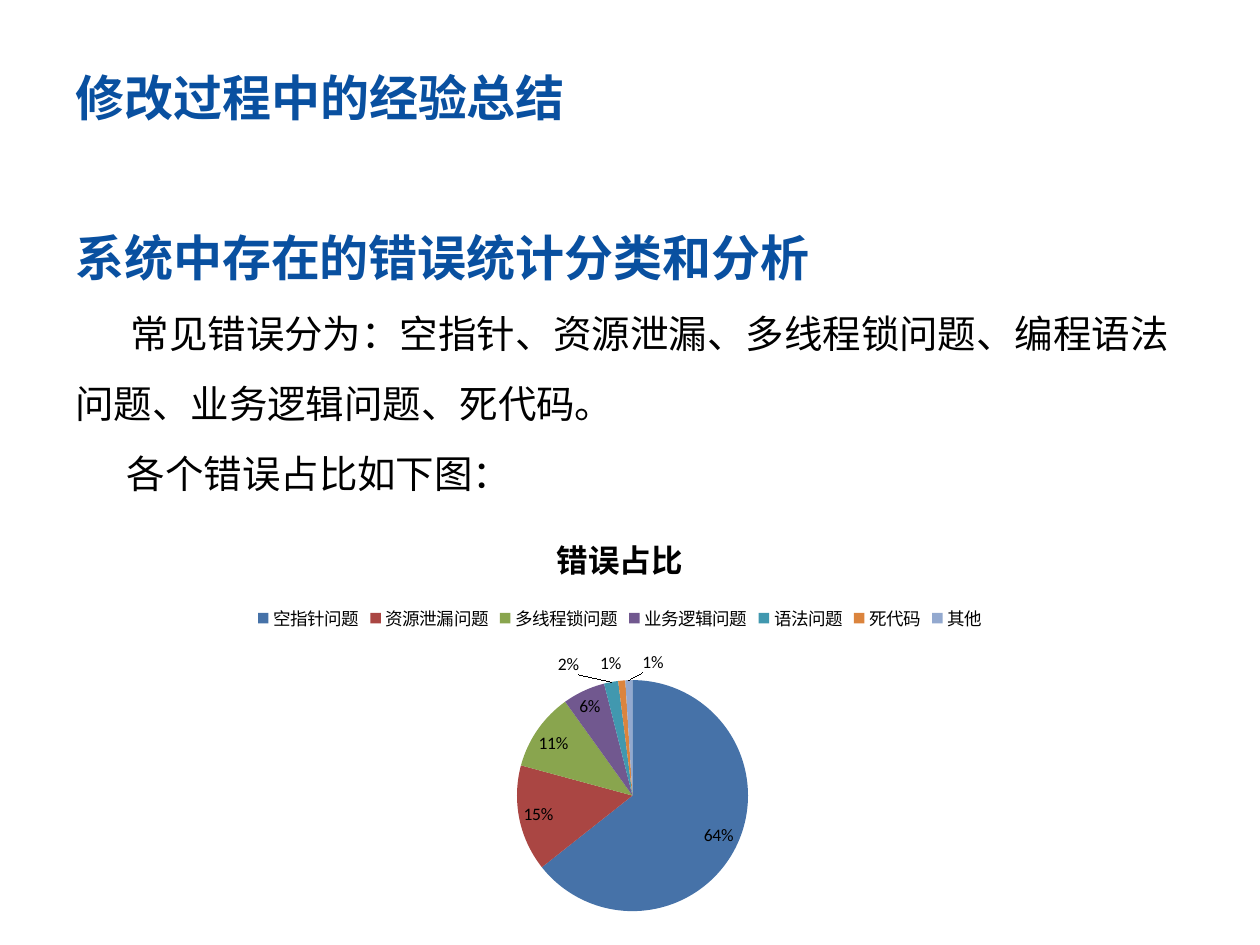
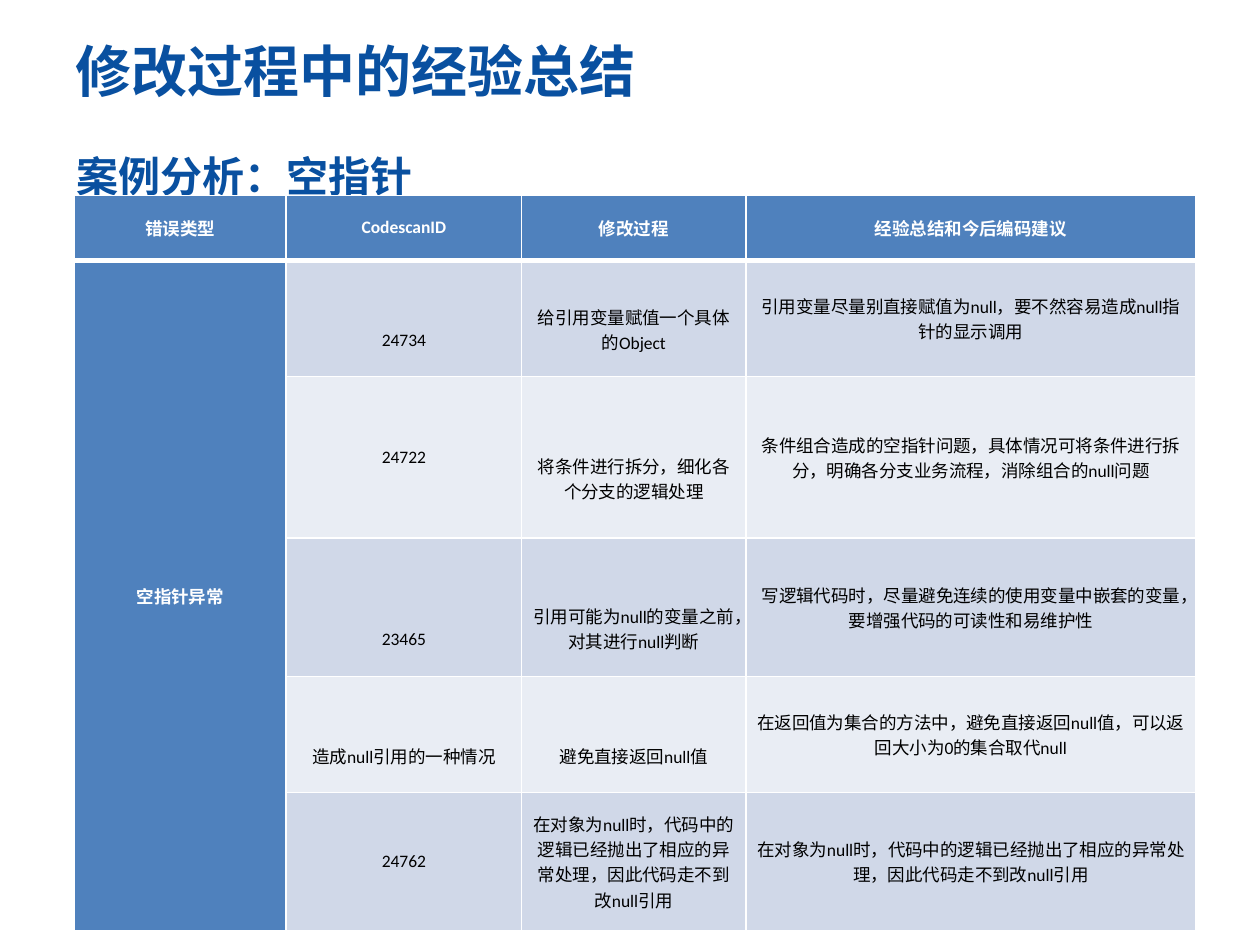
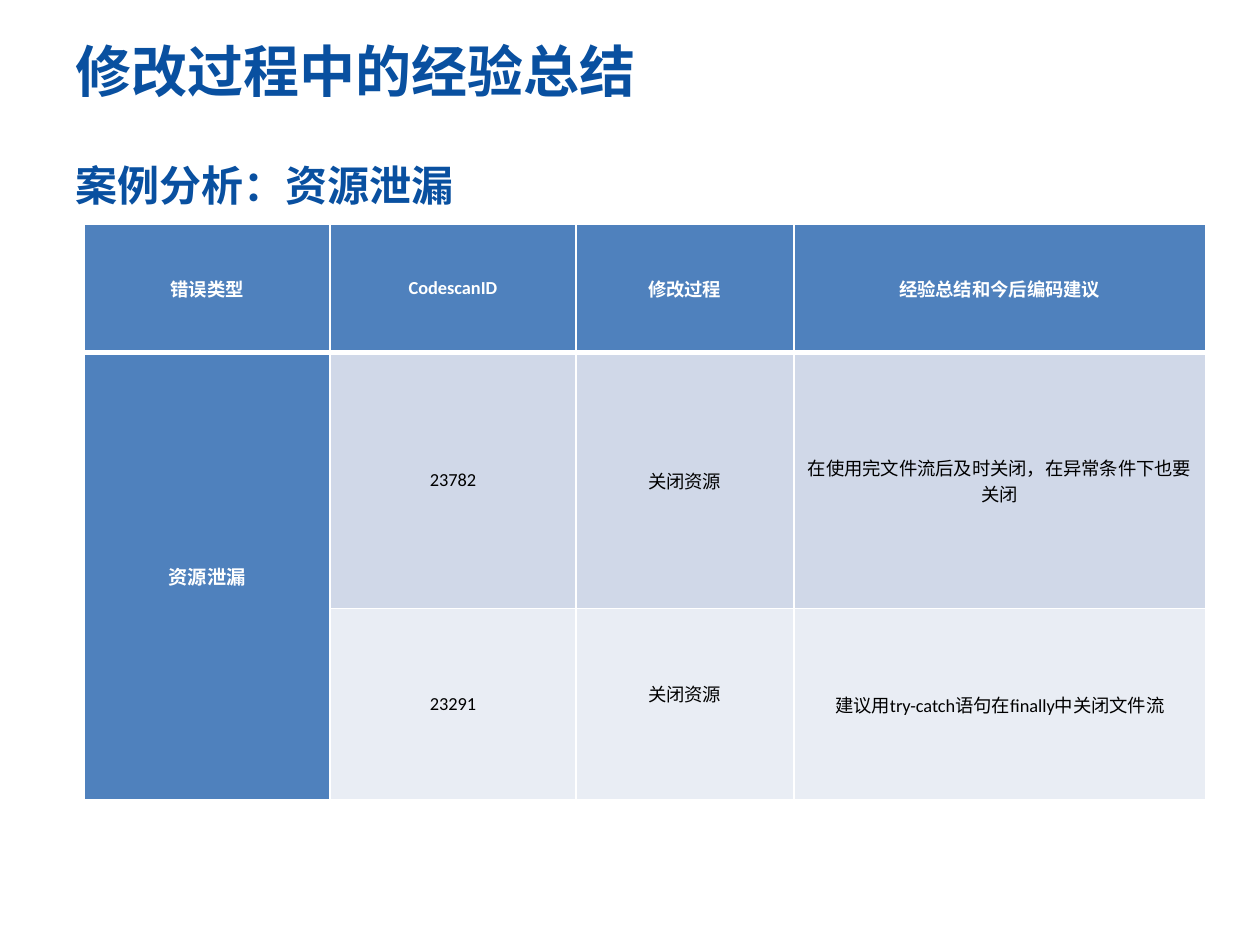
import pptx
import pptx.chart.data
import pptx.dml.color
import pptx.enum.chart
import pptx.enum.text
import pptx.oxml
import pptx.oxml.ns
import pptx.util

Inches = pptx.util.Inches
Pt = pptx.util.Pt
RGB = pptx.dml.color.RGBColor
PP = pptx.enum.text.PP_ALIGN
Anchor = pptx.enum.text.MSO_ANCHOR

# Shared look
NAVY = RGB(0x09, 0x50, 0xA0)
BLUE = RGB(0x4F, 0x81, 0xBD)
BAND = RGB(0xD0, 0xD8, 0xE8)
PALE = RGB(0xE9, 0xED, 0xF4)
WHITE = RGB(0xFF, 0xFF, 0xFF)
BLACK = RGB(0, 0, 0)
SLICES = [RGB.from_string(c) for c in
          "4672A8 AA4643 89A54E 71588F 4198AF DB843D 93A9CF".split()]
HEAD = "Noto Sans CJK SC"
BODY = "Calibri"
TITLE = "修改过程中的经验总结"
COLS = ["错误类型", "CodescanID", "修改过程", "经验总结和今后编码建议"]
LINE = 0.17  # height of one line of table text

# Table rows; a pair gives the text and the lines it is moved down (or up)
NULLS = [
    [("24734", 2), ("给引用变量赋值一个具体的Object", 1),
     "引用变量尽量别直接赋值为null，要不然容易造成null指针的显示调用"],
    ["24722", ("将条件进行拆分，细化各个分支的逻辑处理", 2),
     "条件组合造成的空指针问题，具体情况可将条件进行拆分，明确各分支业务流程，消除组合的null问题"],
    [("23465", 3), ("引用可能为null的变量之前，对其进行null判断", 2),
     "写逻辑代码时，尽量避免连续的使用变量中嵌套的变量，要增强代码的可读性和易维护性"],
    [("造成null引用的一种情况", 2), ("避免直接返回null值", 2),
     "在返回值为集合的方法中，避免直接返回null值，可以返回大小为0的集合取代null"],
    ["24762"] + ["在对象为null时，代码中的逻辑已经抛出了相应的异常处理，因此代码走不到改null引用"] * 2,
]
LEAKS = [
    ["23782", "关闭资源", "在使用完文件流后及时关闭，在异常条件下也要关闭"],
    ["23291", ("关闭资源", -1), "建议用try-catch语句在finally中关闭文件流"],
]


def style(font, size, color, bold=False, name=BODY):
    """Set the look of a font."""
    look = {"size": Pt(size), "bold": bold, "name": name}
    for key, value in look.items():
        setattr(font, key, value)
    font.color.rgb = color


def write(para, text, size, color, bold=False, name=BODY):
    """Add one run, with the same heading font for Chinese."""
    run = para.add_run()
    run.text = text
    style(run.font, size, color, bold, name)
    if name == HEAD:
        east = pptx.oxml.parse_xml(
            f'<a:ea {pptx.oxml.ns.nsdecls("a")} typeface="{HEAD}"/>')
        run.font.fill  # the fill comes before the typefaces
        run._r.get_or_add_rPr().find(pptx.oxml.ns.qn("a:latin")).addnext(east)


def place(shape, left, top, wide, high):
    box = {"left": left, "top": top, "width": wide, "height": high}
    for key, value in box.items():
        setattr(shape, key, Inches(value))


def start(deck, high, size, space):
    """Add a slide with its title."""
    slide = deck.slides.add_slide(deck.slide_layouts[5])
    title = slide.shapes.title
    place(title, 0.5, 0.05, 9, high)
    frame = title.text_frame
    frame.word_wrap = True
    frame.auto_size = pptx.enum.text.MSO_AUTO_SIZE.NONE
    frame.vertical_anchor = Anchor.MIDDLE
    para = frame.paragraphs[0]
    para.alignment = PP.LEFT
    para.line_spacing = space
    write(para, TITLE, size, NAVY, True, HEAD)
    return slide


def add_text(slide, left, top, high, lines):
    """Add a box of (text, size, colour, bold, line height, indent) lines."""
    box = slide.shapes.add_textbox(
        Inches(left), Inches(top), Inches(9), Inches(high))
    frame = box.text_frame
    frame.word_wrap = True
    for i, (text, size, color, bold, pitch, indent) in enumerate(lines):
        para = frame.add_paragraph() if i else frame.paragraphs[0]
        para.line_spacing = Pt(pitch)
        para._p.get_or_add_pPr().set("indent", str(Inches(indent)))
        write(para, text, size, color, bold, HEAD)


def add_pie(slide):
    data = pptx.chart.data.CategoryChartData()
    data.categories = ["空指针问题", "资源泄漏问题", "多线程锁问题", "业务逻辑问题",
                       "语法问题", "死代码", "其他"]
    data.add_series("Series 1", [65, 15, 11, 6, 2, 1, 1])
    enum = pptx.enum.chart
    chart = slide.shapes.add_chart(
        enum.XL_CHART_TYPE.PIE, Inches(0.67), Inches(4.06),
        Inches(8.5), Inches(3.31), data).chart
    style(chart.font, 10, BLACK)
    chart.has_title = True
    write(chart.chart_title.text_frame.paragraphs[0], "错误占比", 18, BLACK, True)
    chart.has_legend = True
    chart.legend.position = enum.XL_LEGEND_POSITION.TOP
    chart.legend.include_in_layout = False
    # Slices and their labels
    plot = chart.plots[0]
    plot.vary_by_categories = True
    for i, color in enumerate(SLICES):
        fill = plot.series[0].points[i].format.fill
        fill.solid()
        fill.fore_color.rgb = color
    plot.has_data_labels = True
    labels = plot.data_labels
    look = {"show_percentage": True, "show_value": False,
            "number_format": "0%", "number_format_is_linked": False,
            "position": enum.XL_LABEL_POSITION.BEST_FIT}
    for key, value in look.items():
        setattr(labels, key, value)
    style(labels.font, 10, BLACK)


def edge(cell, base):
    """Draw white borders, with the given width at the bottom."""
    props = cell._tc.get_or_add_tcPr()
    for side, width in zip("LRTB", (1, 1, 1, base)):
        props.append(pptx.oxml.parse_xml(
            f'<a:ln{side} {pptx.oxml.ns.nsdecls("a")} w="{Pt(width)}">'
            f'<a:solidFill><a:srgbClr val="{WHITE}"/></a:solidFill></a:ln{side}>'))


def fill_cell(cell, item, size, color, back, base=1):
    text, shift = item if isinstance(item, tuple) else (item, 0)
    look = {"margin_left": Inches(0.07), "margin_right": Inches(0.07),
            "margin_top": Inches(LINE * max(shift, 0)),
            "margin_bottom": Inches(LINE * max(-shift, 0)),
            "vertical_anchor": Anchor.MIDDLE}
    for key, value in look.items():
        setattr(cell, key, value)
    edge(cell, base)
    cell.fill.solid()
    cell.fill.fore_color.rgb = back
    if text:
        para = cell.text_frame.paragraphs[0]
        para.alignment = PP.CENTER
        write(para, text, size, color, color == WHITE)


def add_cases(slide, left, top, wides, highs, kind, rows, size, big):
    """Add a table whose first column is one merged cell."""
    grid = slide.shapes.add_table(
        len(highs), len(wides), Inches(left), Inches(top),
        Inches(sum(wides)), Inches(sum(highs))).table
    for col, wide in zip(grid.columns, wides):
        col.width = Inches(wide)
    for row, high in zip(grid.rows, highs):
        row.height = Inches(high)
    for c, name in enumerate(COLS):
        fill_cell(grid.cell(0, c), name, size, WHITE, BLUE, 3)
    for r, row in enumerate(rows, 1):
        fill_cell(grid.cell(r, 0), kind if r == 1 else "", big, WHITE, BLUE)
        for c, item in enumerate(row, 1):
            fill_cell(grid.cell(r, c), item, size, BLACK, BAND if r % 2 else PALE)
    grid.cell(1, 0).merge(grid.cell(len(rows), 0))


def main():
    deck = pptx.Presentation()
    deck.slide_width, deck.slide_height = Inches(10), Inches(7.5)

    # Shares of each error
    slide = start(deck, 1.25, 28, 1.4)
    add_text(slide, 0.5, 1.5, 2.5, [
        ("系统中存在的错误统计分类和分析", 28, NAVY, True, 52, 0),
        ("常见错误分为：空指针、资源泄漏、多线程锁问题、编程语法问题、业务逻辑问题、死代码。",
         22, BLACK, False, 40, 0.44),
        ("各个错误占比如下图：", 22, BLACK, False, 40, 0.41)])
    add_pie(slide)

    # Null pointers
    slide = start(deck, 1.02, 32, 1.0)
    add_text(slide, 0.51, 0.92, 0.7,
             [("案例分析：空指针", 24, NAVY, True, 45, 0)])
    add_cases(slide, 0.59, 1.55, [1.68, 1.87, 1.78, 3.57],
              [0.52, 0.92, 1.28, 1.1, 0.92, 1.1], "空指针异常", NULLS, 10, 10)

    # Resource leaks
    slide = start(deck, 1.02, 32, 1.0)
    add_text(slide, 0.5, 0.99, 0.7,
             [("案例分析：资源泄漏", 24, NAVY, True, 45, 0)])
    add_cases(slide, 0.67, 1.78, [1.95, 1.95, 1.73, 3.27],
              [1.02, 2.03, 1.52], "资源泄漏", LEAKS, 10.5, 11)

    deck.save("out.pptx")


if __name__ == "__main__":
    main()
